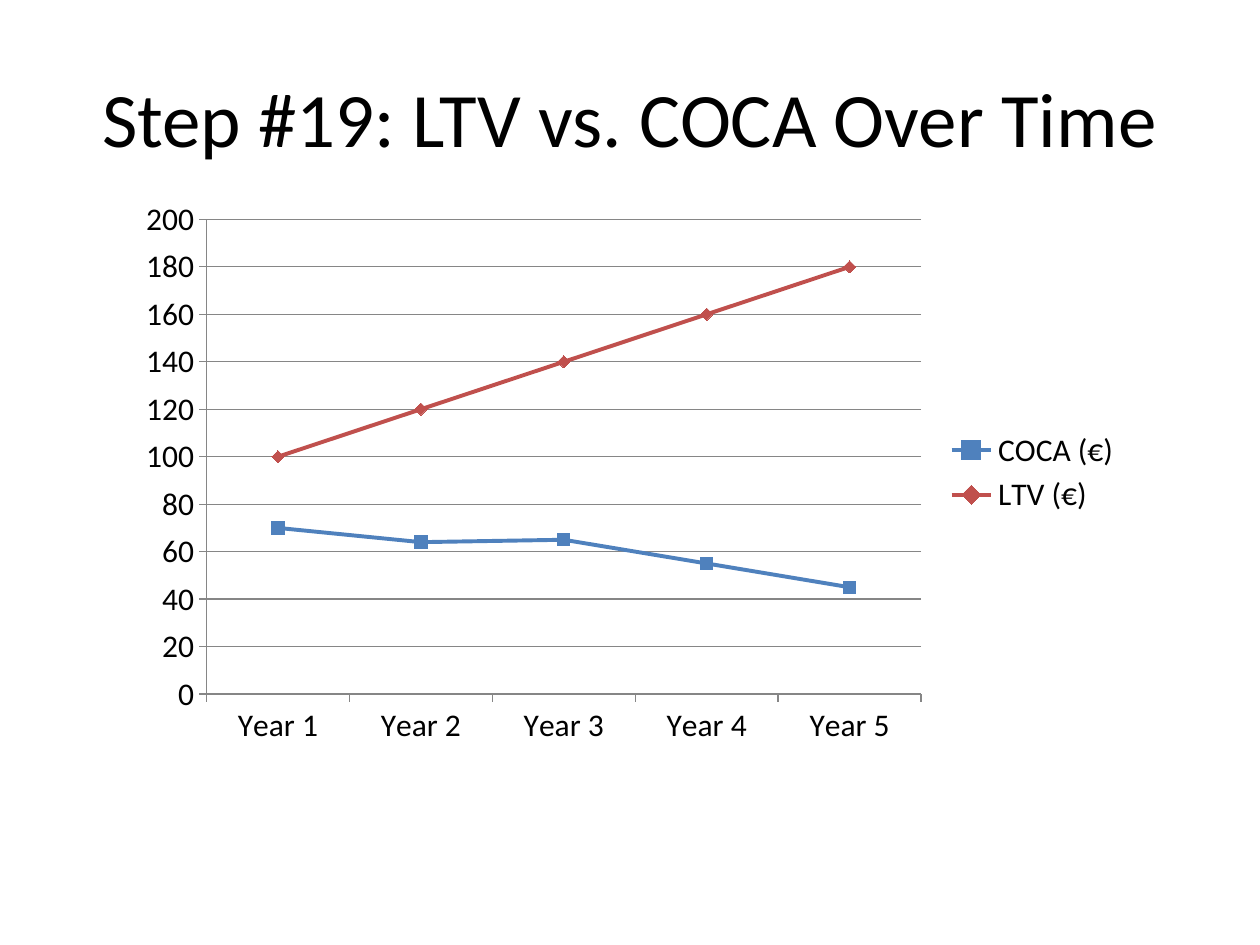
from dataclasses import dataclass

import pptx
import pptx.chart.data
import pptx.dml.color
import pptx.enum.chart
import pptx.enum.text
import pptx.util
from pptx.util import Inches

FONT = "Calibri"
COLORS = {"text": "000000", "axis": "868686", "coca": "4F81BD", "ltv": "C0504D"}
YEARS = [f"Year {number}" for number in range(1, 6)]


@dataclass
class LineSeries:
    name: str
    values: tuple[int, ...]
    color: str
    marker: pptx.enum.chart.XL_MARKER_STYLE


SERIES = [
    LineSeries("COCA (€)", (70, 64, 65, 55, 45), "coca",
               pptx.enum.chart.XL_MARKER_STYLE.SQUARE),
    LineSeries("LTV (€)", (100, 120, 140, 160, 180), "ltv",
               pptx.enum.chart.XL_MARKER_STYLE.DIAMOND),
]


def rgb(name: str) -> pptx.dml.color.RGBColor:
    return pptx.dml.color.RGBColor.from_string(COLORS[name])


def format_font(font, size: float, color: str) -> None:
    font.name = FONT
    font.size = pptx.util.Pt(size)
    font.color.rgb = rgb(color)


def format_line(line, color: str, width: float) -> None:
    line.color.rgb = rgb(color)
    line.width = pptx.util.Pt(width)


def add_text(slide, text: str, *, left: float, top: float, width: float,
             height: float, size: float, color: str = "text",
             align=pptx.enum.text.PP_ALIGN.CENTER,
             anchor=pptx.enum.text.MSO_ANCHOR.MIDDLE) -> None:
    shape = slide.shapes.add_textbox(
        Inches(left), Inches(top), Inches(width), Inches(height))
    shape.text_frame.word_wrap = True
    shape.text_frame.vertical_anchor = anchor
    paragraph = shape.text_frame.paragraphs[0]
    paragraph.alignment = align
    run = paragraph.add_run()
    run.text = text
    format_font(run.font, size, color)


def style_series(series, definition: LineSeries) -> None:
    series.smooth = False
    format_line(series.format.line, definition.color, 2.25)
    series.marker.style = definition.marker
    series.marker.size = 7
    series.marker.format.fill.solid()
    series.marker.format.fill.fore_color.rgb = rgb(definition.color)
    format_line(series.marker.format.line, definition.color, 0.75)


def add_line_chart(slide) -> None:
    data = pptx.chart.data.CategoryChartData()
    data.categories = YEARS
    for definition in SERIES:
        data.add_series(definition.name, definition.values)
    chart = slide.shapes.add_chart(
        pptx.enum.chart.XL_CHART_TYPE.LINE_MARKERS,
        Inches(1), Inches(1.5), Inches(8), Inches(4.5), data).chart
    chart.has_title = False
    format_font(chart.font, 18, "text")
    chart.plots[0].vary_by_categories = False

    chart.has_legend = True
    chart.legend.position = pptx.enum.chart.XL_LEGEND_POSITION.RIGHT
    chart.legend.include_in_layout = False

    for axis in (chart.category_axis, chart.value_axis):
        axis.major_tick_mark = pptx.enum.chart.XL_TICK_MARK.OUTSIDE
        axis.minor_tick_mark = pptx.enum.chart.XL_TICK_MARK.NONE
        format_line(axis.format.line, "axis", 0.75)
    chart.category_axis.has_major_gridlines = False
    chart.value_axis.has_major_gridlines = True
    format_line(chart.value_axis.major_gridlines.format.line, "axis", 0.75)
    chart.value_axis.minimum_scale = 0
    chart.value_axis.maximum_scale = 200
    chart.value_axis.major_unit = 20

    for series, definition in zip(chart.plots[0].series, SERIES):
        style_series(series, definition)


def main() -> None:
    presentation = pptx.Presentation()
    presentation.slide_width = Inches(10)
    presentation.slide_height = Inches(7.5)
    slide = presentation.slides.add_slide(presentation.slide_layouts[6])
    add_text(slide, "Step #19: LTV vs. COCA Over Time",
             left=0.5, top=0.3, width=9, height=1.25, size=44)
    add_line_chart(slide)
    presentation.save("out.pptx")


if __name__ == "__main__":
    main()
